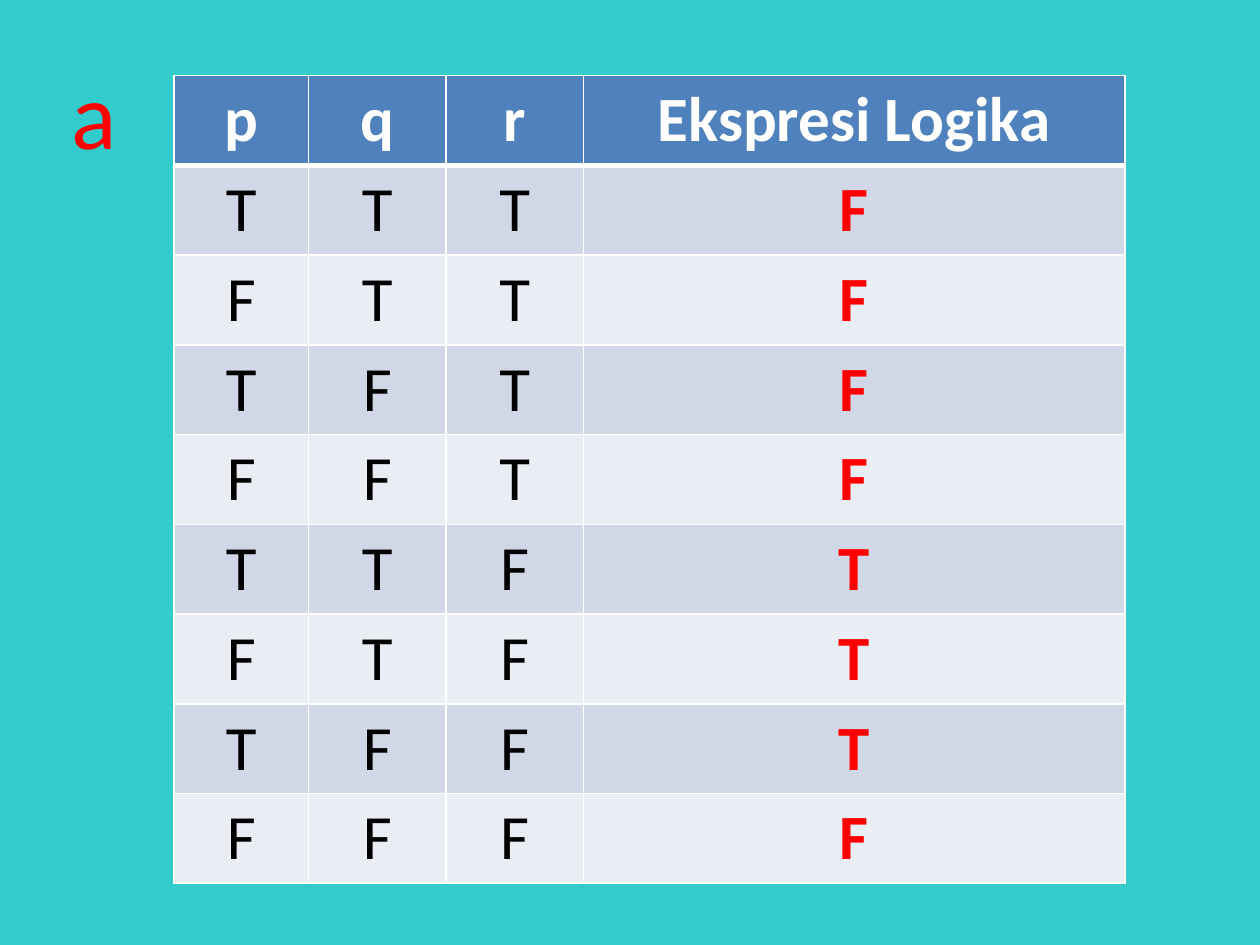
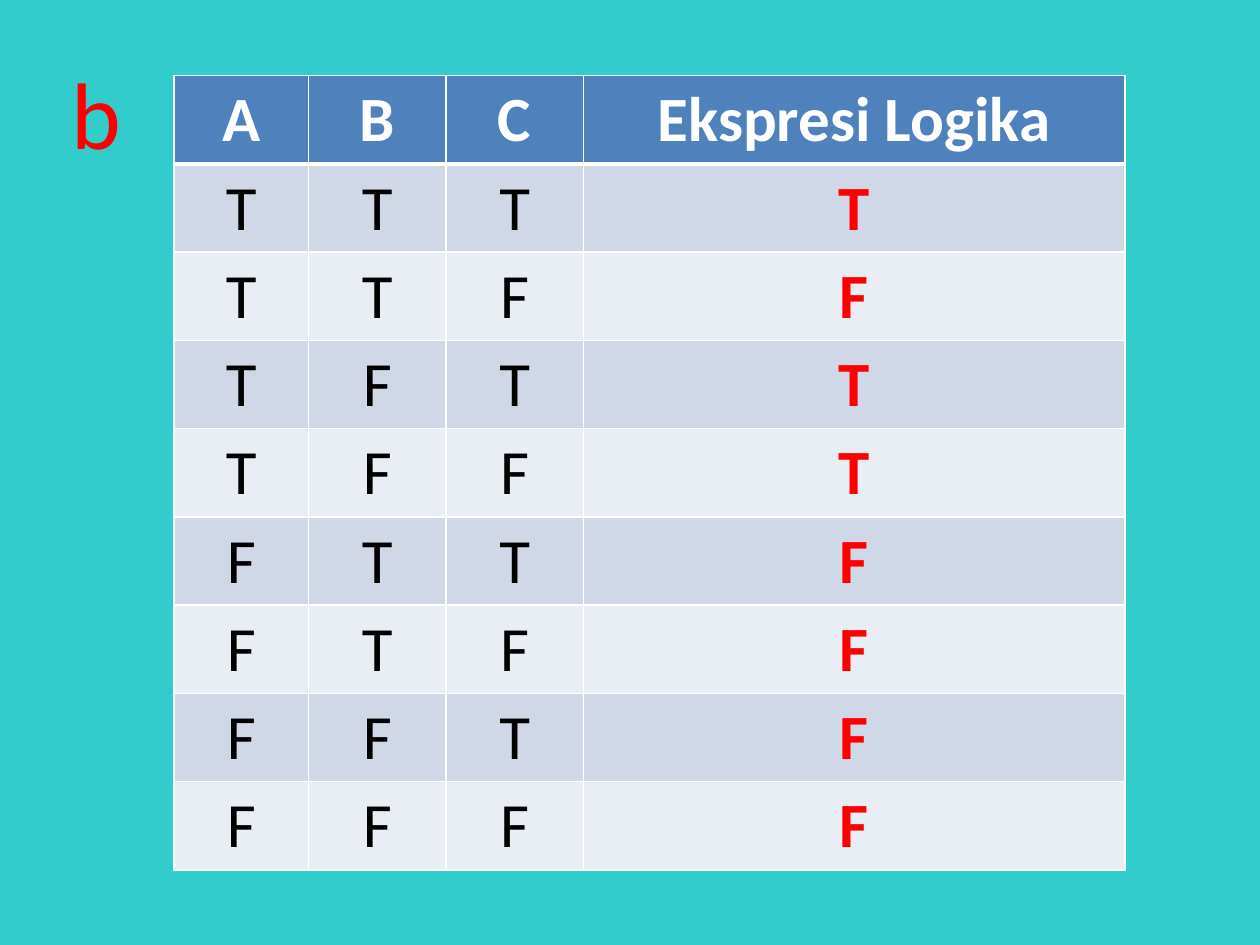
from itertools import product

from lxml.etree import SubElement
from pptx import Presentation
from pptx.dml.color import RGBColor
from pptx.enum.text import MSO_AUTO_SIZE, PP_ALIGN
from pptx.oxml.ns import qn
from pptx.util import Inches, Pt

# Shared style
FONT = "Calibri"
BACKGROUND, WHITE, BLACK, RED = "33CCCC", "FFFFFF", "000000", "FF0000"
HEADER_FILL, BAND_FILLS = "4F81BD", ("D0D8E8", "E9EDF4")
THIN, THICK = 1, 3

# Lengths as shares of the slide's width or height
TABLE_LEFT, TABLE_TOP = 0.138, 0.08
COLUMN_SHARES = (0.107, 0.109, 0.109, 0.43)
ROW_SHARE = 0.7 / 7.5
LABEL_LEFT, LABEL_TOP, LABEL_HEIGHT = 0.047, 0.052, 1.01 / 7.5


def color(hex_code):
    return RGBColor.from_string(hex_code)


class TruthTableDeck:
    def __init__(self):
        self.deck = Presentation()
        self.deck.slide_width, self.deck.slide_height = Inches(10), Inches(7.5)
        self.slide = None

    def across(self, share):
        return round(self.deck.slide_width * share)

    def down(self, share):
        return round(self.deck.slide_height * share)

    def new_slide(self):
        self.slide = self.deck.slides.add_slide(self.deck.slide_layouts[6])
        background = self.slide.background.fill
        background.solid()
        background.fore_color.rgb = color(BACKGROUND)

    def add_text(self, paragraph, text, size, ink, bold=False):
        run = paragraph.add_run()
        run.text = text
        run.font.name, run.font.size, run.font.bold = FONT, Pt(size), bold
        run.font.color.rgb = color(ink)

    def label(self, letter, width_share):
        box = self.slide.shapes.add_textbox(
            self.across(LABEL_LEFT), self.down(LABEL_TOP),
            self.across(width_share), self.down(LABEL_HEIGHT))
        box.text_frame.word_wrap = False
        box.text_frame.auto_size = MSO_AUTO_SIZE.SHAPE_TO_FIT_TEXT
        self.add_text(box.text_frame.paragraphs[0], letter, 54, RED)

    def borders(self, cell, top, bottom):
        properties = cell._tc.get_or_add_tcPr()
        for side, width in (("L", THIN), ("R", THIN), ("T", top), ("B", bottom)):
            line = SubElement(properties, qn(f"a:ln{side}"), w=str(Pt(width)))
            fill = SubElement(line, qn("a:solidFill"))
            SubElement(fill, qn("a:srgbClr"), val=WHITE)

    def cell(self, cell, text, row, is_result):
        is_header = row == 0
        self.borders(cell, THICK if row == 1 else THIN, THICK if is_header else THIN)
        cell.fill.solid()
        cell.fill.fore_color.rgb = color(HEADER_FILL if is_header else BAND_FILLS[(row - 1) % 2])
        paragraph = cell.text_frame.paragraphs[0]
        paragraph.alignment = PP_ALIGN.CENTER
        ink = WHITE if is_header else RED if is_result else BLACK
        self.add_text(paragraph, text, 36, ink, is_header or is_result)

    def truth_table(self, rows):
        table = self.slide.shapes.add_table(
            len(rows), len(COLUMN_SHARES), self.across(TABLE_LEFT), self.down(TABLE_TOP),
            self.across(sum(COLUMN_SHARES)), self.down(ROW_SHARE * len(rows))).table
        for column, share in zip(table.columns, COLUMN_SHARES):
            column.width = self.across(share)
        for row, values in enumerate(rows):
            table.rows[row].height = self.down(ROW_SHARE)
            for column, value in enumerate(values):
                self.cell(table.cell(row, column), value, row, column == len(values) - 1)


def main():
    deck = TruthTableDeck()
    last_varies_fastest = list(product("TF", repeat=3))
    first_varies_fastest = [inputs[::-1] for inputs in last_varies_fastest]

    # Label, its width, variables, input order, results from top to bottom
    exercises = (
        ("a", 0.056, "pqr", first_varies_fastest, "FFFFTTTF"),
        ("b", 0.06, "ABC", last_varies_fastest, "TFTTFFFF"),
    )
    for letter, label_width, variables, inputs, results in exercises:
        deck.new_slide()
        header = (*variables, "Ekspresi Logika")
        deck.truth_table([header] + [(*values, result) for values, result in zip(inputs, results)])
        deck.label(letter, label_width)

    deck.deck.save("out.pptx")


if __name__ == "__main__":
    main()
